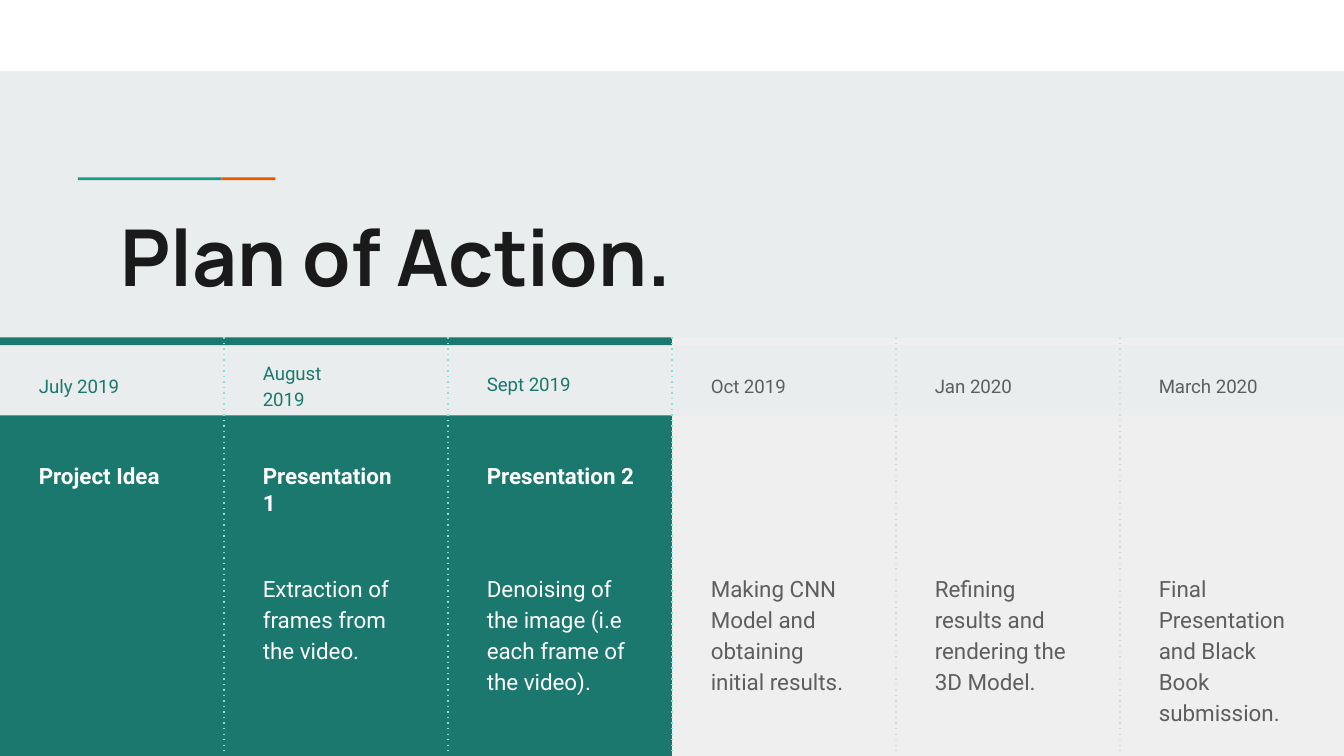
from lxml.etree import SubElement
from pptx import Presentation
from pptx.dml.color import RGBColor
from pptx.enum.shapes import MSO_CONNECTOR, MSO_SHAPE
from pptx.enum.text import MSO_ANCHOR, PP_ALIGN
from pptx.oxml.ns import qn
from pptx.util import Inches, Pt

BACK = RGBColor(0xE9, 0xED, 0xEE)
WHITE = RGBColor(0xFF, 0xFF, 0xFF)
INK = RGBColor(0x1A, 0x1A, 0x1A)
ORANGE = RGBColor(0xEB, 0x56, 0x00)
GREEN = RGBColor(0x1A, 0x99, 0x88)
TEAL = RGBColor(0x1B, 0x78, 0x6E)
MINT = RGBColor(0x83, 0xE3, 0xD9)
PALE = RGBColor(0xEF, 0xEF, 0xEF)
RULE = RGBColor(0xD9, 0xD9, 0xD9)
GREY = RGBColor(0x5E, 0x5E, 0x5E)

deck = Presentation()
deck.slide_width = Inches(10)
deck.slide_height = Inches(10) * 9 // 16
slide = deck.slides.add_slide(deck.slide_layouts[6])
slide.background.fill.solid()
slide.background.fill.fore_color.rgb = BACK


def write(text, *, left, top, width, height, size, color,
          font="Roboto", bold=False, space=None, after=0):
    box = slide.shapes.add_textbox(
        Inches(left), Inches(top), Inches(width), Inches(height))
    frame = box.text_frame
    frame.word_wrap = True
    frame.vertical_anchor = MSO_ANCHOR.TOP
    frame.margin_left = frame.margin_right = Inches(0.1)
    frame.margin_top = frame.margin_bottom = Inches(0.1)
    para = frame.paragraphs[0]
    para.alignment = PP_ALIGN.LEFT
    para.line_spacing = space
    para.space_after = Pt(after)
    run = para.add_run()
    run.text = text
    run.font.name = font
    run.font.size = Pt(size)
    run.font.bold = bold
    run.font.color.rgb = color


def block(left, top, width, height, color):
    shape = slide.shapes.add_shape(
        MSO_SHAPE.RECTANGLE,
        Inches(left), Inches(top), Inches(width), Inches(height))
    shape.shadow.inherit = False
    shape.fill.solid()
    shape.fill.fore_color.rgb = color
    shape.line.fill.background()


block(0, 0, 10, 0.53, WHITE)
block(0.58, 1.32, 1.07, 0.02, GREEN)
block(1.65, 1.32, 0.4, 0.02, ORANGE)
write("Plan of Action.", left=0.8, top=1.45, width=8.41, height=1.82,
      size=42, color=INK, font="Manrope", bold=True)

steps = [
    ("July 2019", 2.67, 0.28, "Project Idea", ""),
    ("August 2019", 2.57, 0.52, "Presentation 1",
     "Extraction of frames from the video."),
    ("Sept 2019", 2.65, 0.52, "Presentation 2",
     "Denoising of the image (i.e each frame of the video)."),
    ("Oct 2019", 2.67, 0.28, "",
     "Making CNN Model and obtaining initial results."),
    ("Jan 2020", 2.67, 0.28, "",
     "Refining results and rendering the 3D Model."),
    ("March 2020", 2.67, 0.28, "",
     "Final Presentation and Black Book submission."),
]
step = 10 / len(steps)

for i, (date, top, height, head, body) in enumerate(steps):
    left = i * step
    done = i < 3
    fill = TEAL if done else PALE
    block(left, 3.09, step, 2.54, fill)
    block(left, 2.51, step, 0.06, fill)
    inset = left + 0.19
    write(date, left=inset, top=top, width=0.95, height=height, size=10,
          color=TEAL if done else GREY, space=1.15, after=16)
    if head:
        write(head, left=inset, top=3.34, width=1.39 if i == 2 else 1.28,
              height=0.74, size=12, color=WHITE, bold=True)
    if body:
        write(body, left=inset, top=4.15, width=1.28, height=1.2, size=12,
              color=WHITE if done else GREY, space=1.15, after=16)

for i in range(1, len(steps)):
    side = Inches(i * step)
    line = slide.shapes.add_connector(
        MSO_CONNECTOR.STRAIGHT, side, Inches(2.51), side, Inches(5.61))
    line.line.color.rgb = MINT if i <= 3 else RULE
    line.line.width = Pt(0.75)
    SubElement(line.line._get_or_add_ln(), qn("a:prstDash"), val="dot")
    SubElement(line._element.spPr, qn("a:effectLst"))

deck.save("out.pptx")
